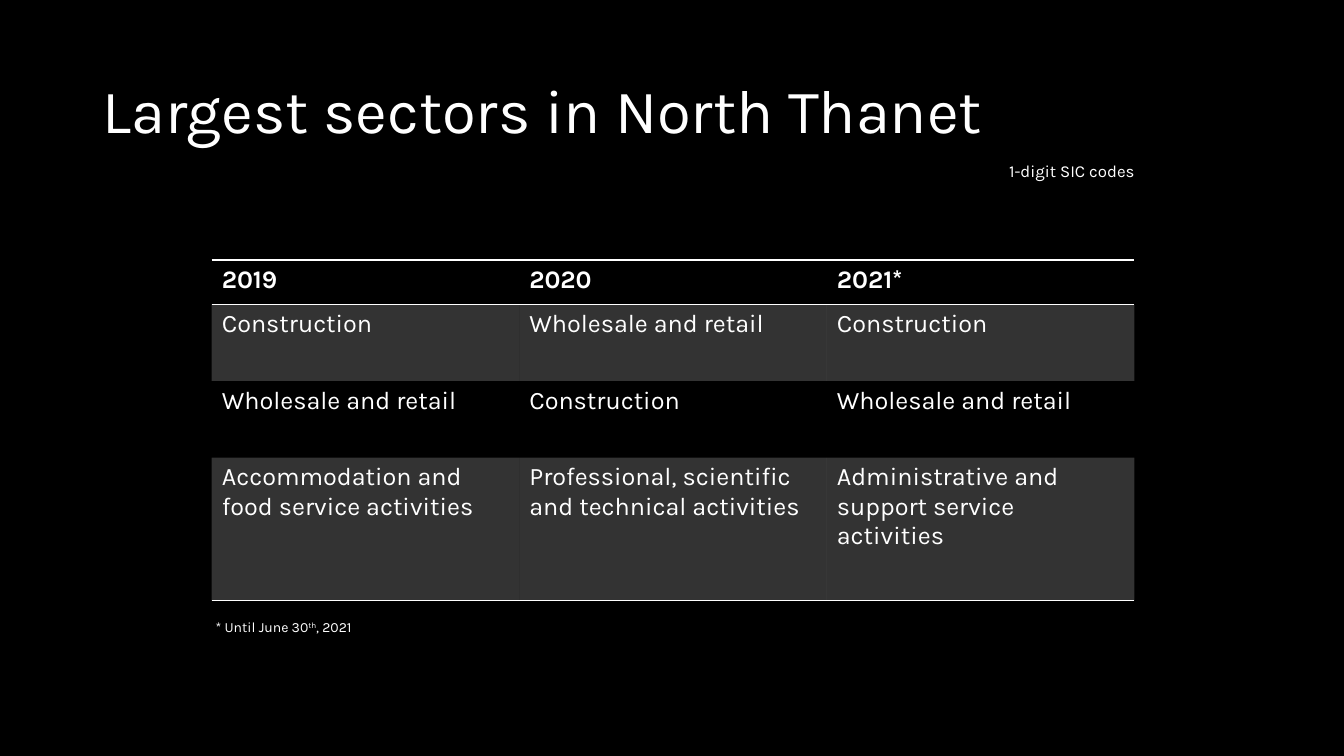
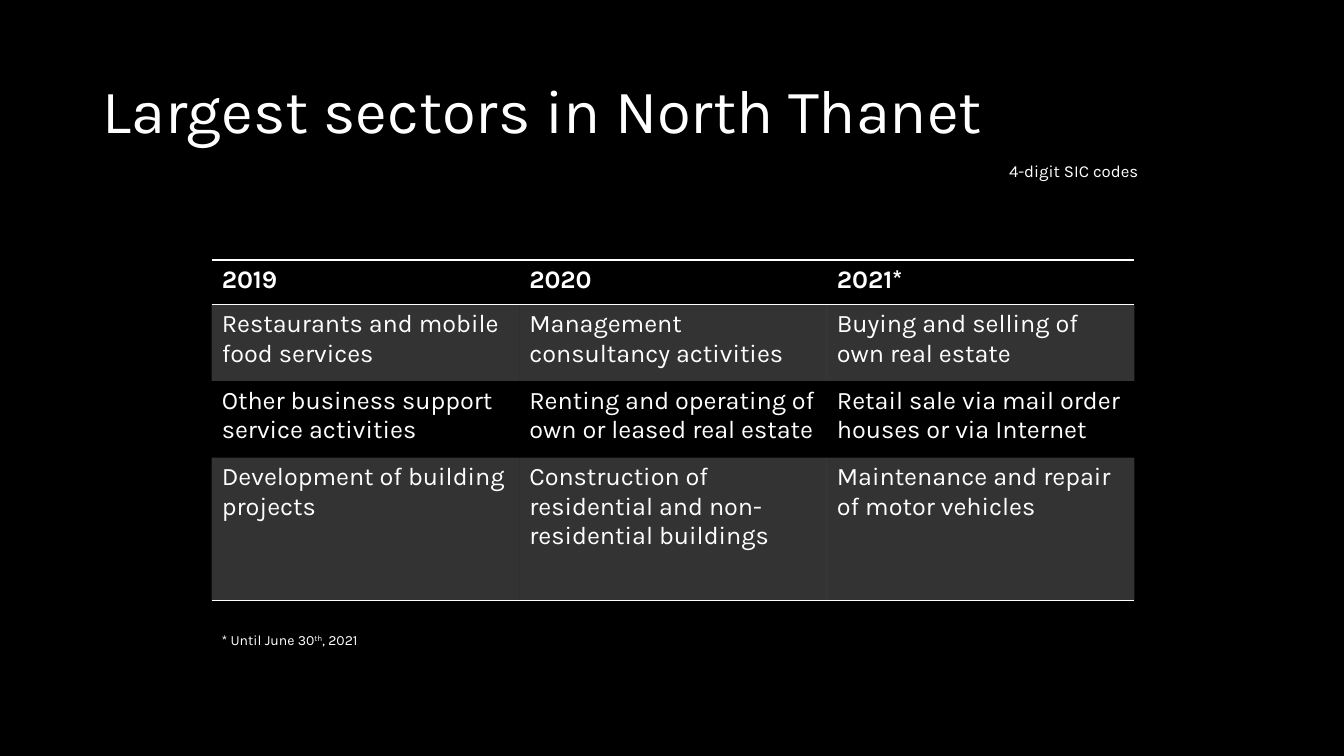
from dataclasses import dataclass

from lxml import etree
from pptx import Presentation
from pptx.dml.color import RGBColor
from pptx.enum.text import MSO_ANCHOR, MSO_AUTO_SIZE, PP_ALIGN
from pptx.oxml.ns import qn
from pptx.slide import Slide
from pptx.table import _Cell
from pptx.text.text import Font
from pptx.util import Inches, Pt

LEFT = PP_ALIGN.LEFT
MIDDLE = MSO_ANCHOR.MIDDLE
NO_AUTOFIT = MSO_AUTO_SIZE.NONE
GROW = MSO_AUTO_SIZE.SHAPE_TO_FIT_TEXT

COLORS = {"background": "000000", "ink": "FFFFFF"}
TYPEFACE = "Karla"
TITLE = "Largest sectors in North Thanet"
YEARS = ("2019", "2020", "2021*")
FOOTNOTE = (("* Until June 30", 0), ("th", 30000), (", 2021", 0))
ROW_HEIGHTS = (0.44, 0.76, 0.76, 1.42)
COLUMN_WIDTH = 3.05
BAND_OPACITY = 20000
RULE_WIDTH = Pt(1)
PLAIN_TABLE_STYLE = "{2D5ABB26-0587-4C30-8999-92F81FD0307C}"


@dataclass(frozen=True)
class SectorRanking:
    classification: str
    ranks: tuple[tuple[str, str, str], ...]
    footnote_left: float
    footnote_top: float


RANKINGS = (
    SectorRanking(
        "1-digit SIC codes",
        (
            ("Construction", "Wholesale and retail", "Construction"),
            ("Wholesale and retail", "Construction", "Wholesale and retail"),
            (
                "Accommodation and food service activities",
                "Professional, scientific and technical activities",
                "Administrative and support service activities",
            ),
        ),
        2.04,
        6.09,
    ),
    SectorRanking(
        "4-digit SIC codes",
        (
            (
                "Restaurants and mobile food services",
                "Management consultancy activities",
                "Buying and selling of own real estate",
            ),
            (
                "Other business support service activities",
                "Renting and operating of own or leased real estate",
                "Retail sale via mail order houses or via Internet",
            ),
            (
                "Development of building projects",
                "Construction of residential and non-residential buildings",
                "Maintenance and repair of motor vehicles",
            ),
        ),
        2.1,
        6.22,
    ),
)


def style_font(font: Font, size: int, bold: bool = False) -> None:
    font.name = TYPEFACE
    font.size = Pt(size)
    font.bold = bold
    font.color.rgb = RGBColor.from_string(COLORS["ink"])


def add_title(slide: Slide) -> None:
    title = slide.shapes.title
    title.left, title.top = Inches(0.92), Inches(0.4)
    title.width, title.height = Inches(11.5), Inches(1.45)
    frame = title.text_frame
    frame.text = TITLE
    frame.auto_size = NO_AUTOFIT
    frame.vertical_anchor = MIDDLE
    heading = frame.paragraphs[0]
    heading.alignment = LEFT
    heading.line_spacing = 0.9
    style_font(heading.font, 44)


def add_note(
    slide: Slide,
    left: float,
    top: float,
    width: float,
    height: float,
    size: int,
    parts: tuple[tuple[str, int], ...],
) -> None:
    note = slide.shapes.add_textbox(
        Inches(left), Inches(top), Inches(width), Inches(height)
    )
    frame = note.text_frame
    frame.word_wrap = True
    frame.auto_size = GROW
    line = frame.paragraphs[0]
    style_font(line.font, size)
    for text, baseline in parts:
        run = line.add_run()
        run.text = text
        if baseline:
            run._r.get_or_add_rPr().set("baseline", str(baseline))


def add_rule(cell: _Cell, side: str) -> None:
    rule = etree.Element(qn(f"a:{side}"), w=str(RULE_WIDTH))
    solid = etree.SubElement(rule, qn("a:solidFill"))
    etree.SubElement(solid, qn("a:srgbClr"), val=COLORS["ink"])
    cell._tc.get_or_add_tcPr().insert(0, rule)


def fill_cell(cell: _Cell, banded: bool) -> None:
    if not banded:
        cell.fill.background()
        return
    cell.fill.solid()
    cell.fill.fore_color.rgb = RGBColor.from_string(COLORS["ink"])
    tint = cell._tc.tcPr.find(f"{qn('a:solidFill')}/{qn('a:srgbClr')}")
    etree.SubElement(tint, qn("a:alpha"), val=str(BAND_OPACITY))


def add_ranking_table(slide: Slide, ranking: SectorRanking) -> None:
    rows = (YEARS, *ranking.ranks)
    frame = slide.shapes.add_table(
        len(rows),
        len(YEARS),
        Inches(2.1),
        Inches(2.58),
        Inches(COLUMN_WIDTH * len(YEARS)),
        Inches(sum(ROW_HEIGHTS)),
    )
    table = frame.table
    table.horz_banding = False
    next(frame.element.iter(qn("a:tableStyleId"))).text = PLAIN_TABLE_STYLE
    for column in table.columns:
        column.width = Inches(COLUMN_WIDTH)
    for row_index, sectors in enumerate(rows):
        is_header = row_index == 0
        table.rows[row_index].height = Inches(ROW_HEIGHTS[row_index])
        for column_index, sector in enumerate(sectors):
            cell = table.cell(row_index, column_index)
            cell.text = sector
            style_font(cell.text_frame.paragraphs[0].font, 18, is_header)
            fill_cell(cell, row_index % 2 == 1)
            if is_header or row_index == len(rows) - 1:
                add_rule(cell, "lnB")
            if is_header:
                add_rule(cell, "lnT")


def add_ranking_slide(deck, ranking: SectorRanking) -> None:
    slide = deck.slides.add_slide(deck.slide_layouts.get_by_name("Title Only"))
    add_title(slide)
    add_ranking_table(slide, ranking)
    add_note(
        slide, ranking.footnote_left, ranking.footnote_top, 6, 0.27, 10, FOOTNOTE
    )
    add_note(slide, 9.91, 1.55, 2.64, 0.3, 12, ((ranking.classification, 0),))


def main() -> None:
    deck = Presentation()
    deck.slide_width, deck.slide_height = Inches(13.33), Inches(7.5)
    backdrop = deck.slide_master.background.fill
    backdrop.solid()
    backdrop.fore_color.rgb = RGBColor.from_string(COLORS["background"])
    for ranking in RANKINGS:
        add_ranking_slide(deck, ranking)
    deck.save("out.pptx")


main()
